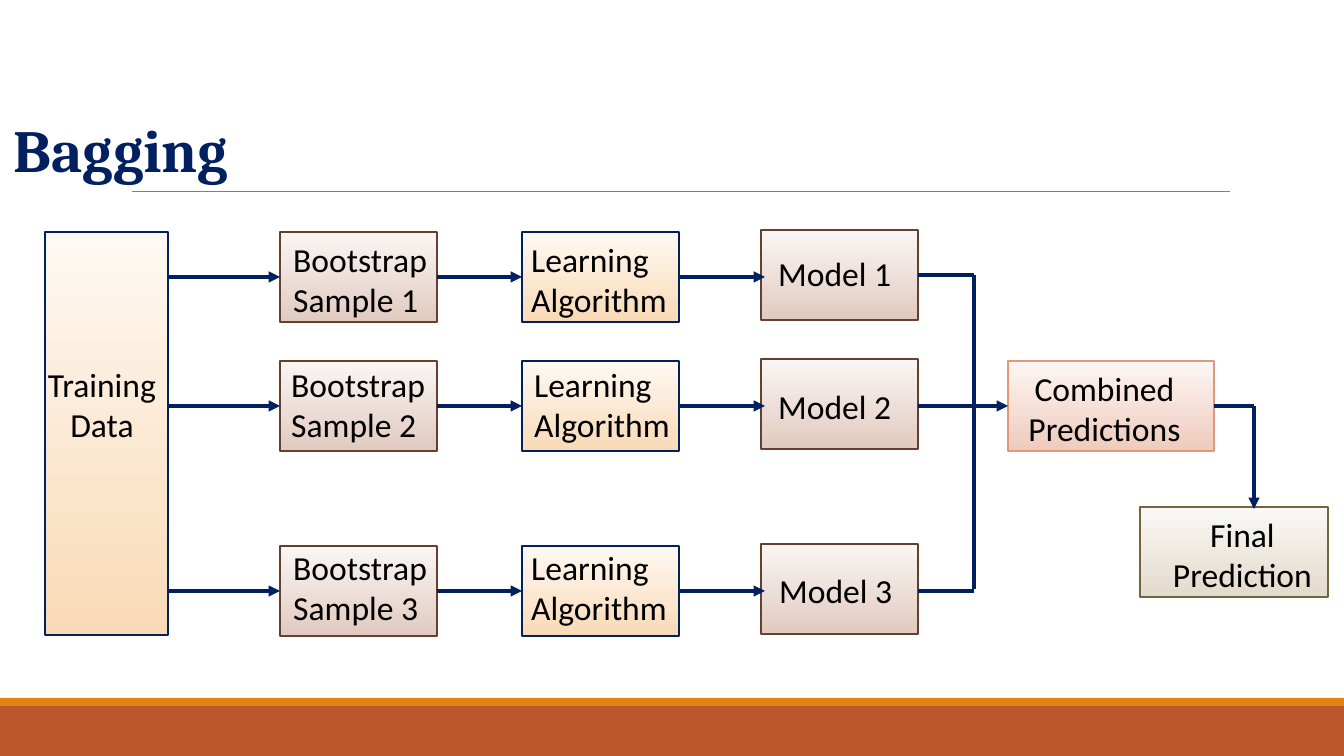
from dataclasses import dataclass

from lxml.etree import SubElement
from pptx import Presentation
from pptx.dml.color import RGBColor
from pptx.enum.shapes import MSO_CONNECTOR as Connector, MSO_SHAPE as Shape
from pptx.enum.text import MSO_ANCHOR as Anchor, MSO_AUTO_SIZE as AutoSize, PP_ALIGN as Align
from pptx.oxml.ns import qn
from pptx.util import Pt

EMU_PER_PX = 914400 / 134.4
WIDTH, HEIGHT = 1344, 756
BOX_WIDTH, BOX_HEIGHT = 157, 90
LABEL_HEIGHT = 94
TOP, LEFT, RIGHT = 0, 1, 3  # connection sites


@dataclass(frozen=True)
class Theme:
    navy: str = "002060"
    black: str = "000000"
    rule: str = "7F7F7F"
    orange: str = "E48312"
    rust: str = "BD582C"
    # Box styles: gradient start, gradient end, outline
    cream: tuple = ("FEF9F3", "F9DAB6", "002060")
    brown: tuple = ("FAF6F4", "E1CAC0", "644030")
    coral: tuple = ("FCF6F4", "EFCBBC", "E09878")
    olive: tuple = ("FAF9F6", "E2DACC", "746241")
    title_font: str = "Cambria"
    body_font: str = "Calibri"
    title_size: float = 32
    body_size: float = 18
    outline: float = 1.25
    arrow: float = 2
    hairline: float = 0.5


THEME = Theme()


def px(*lengths):
    return [round(length * EMU_PER_PX) for length in lengths]


def rgb(value):
    return RGBColor.from_string(value)


def add_run(paragraph, text, font_name, size, color, bold=False):
    run = paragraph.add_run()
    run.text = text
    run.font.name, run.font.size, run.font.bold = font_name, Pt(size), bold
    run.font.color.rgb = rgb(color)


def add_box(slide, box, style):
    shape = slide.shapes.add_shape(Shape.RECTANGLE, *px(*box))
    shape.shadow.inherit = False
    start, end, outline = style
    shape.fill.gradient()
    shape.fill.gradient_angle = 270
    for stop, color, position in zip(shape.fill.gradient_stops, (start, end), (0, 1)):
        stop.color.rgb, stop.position = rgb(color), position
    shape.line.color.rgb = rgb(outline)
    shape.line.width = Pt(THEME.outline)
    return shape


def add_label(slide, box, text, align=Align.LEFT):
    frame = slide.shapes.add_textbox(*px(*box)).text_frame
    frame.word_wrap = True
    frame.auto_size = AutoSize.SHAPE_TO_FIT_TEXT
    paragraph = frame.paragraphs[0]
    paragraph.alignment = align
    add_run(paragraph, text, THEME.body_font, THEME.body_size, THEME.black)


def add_node(slide, box, style, text, label, align=Align.LEFT):
    """Box with a label given as x, y, width, height from the box corner."""
    shape = add_box(slide, box, style)
    dx, dy, width, height = label
    add_label(slide, (box[0] + dx, box[1] + dy, width, height), text, align)
    return shape


def add_line(slide, start, end, color=THEME.navy, width=THEME.arrow,
             head=False, source=None, target=None):
    line = slide.shapes.add_connector(Connector.STRAIGHT, *px(*start, *end))
    if source is not None:
        line.begin_connect(source, RIGHT)
    if target is not None:
        line.end_connect(target, LEFT)
    line.line.color.rgb = rgb(color)
    line.line.width = Pt(width)
    if head:
        SubElement(line.line._get_or_add_ln(), qn("a:tailEnd"), type="triangle")
    SubElement(line._element.spPr, qn("a:effectLst"))


def add_frame(slide, box):
    """Footer bands and the rule under the title."""
    left, top, width, height = box
    for y, band, color in ((706, 50, THEME.rust), (698, 8, THEME.orange)):
        shape = slide.shapes.add_shape(Shape.RECTANGLE, *px(left, top + y, width, band))
        shape.shadow.inherit = False
        shape.fill.solid()
        shape.fill.fore_color.rgb = rgb(color)
        shape.line.fill.background()
    add_line(slide, (left + 132, top + 192), (left + 1230, top + 192),
             THEME.rule, THEME.hairline)


def add_title(slide, box, text):
    title = slide.shapes.title
    title.left, title.top, title.width, title.height = px(*box)
    frame = title.text_frame
    frame.vertical_anchor = Anchor.MIDDLE
    paragraph = frame.paragraphs[0]
    paragraph.alignment, paragraph.line_spacing = Align.LEFT, 0.85
    add_run(paragraph, text, THEME.title_font, THEME.title_size, THEME.navy, bold=True)


def add_branch(slide, box, number, labels):
    """One row: bootstrap sample, learning algorithm, model. Returns the model."""
    left, top = box
    middle = top + BOX_HEIGHT // 2
    sample_label, algorithm_label, model_label = labels
    size = (BOX_WIDTH, BOX_HEIGHT)

    sample = add_node(slide, (left + 112, top, *size), THEME.brown,
                      f"Bootstrap Sample {number}", (*sample_label, LABEL_HEIGHT))
    algorithm = add_node(slide, (left + 354, top, *size), THEME.cream,
                         "Learning Algorithm", (*algorithm_label, LABEL_HEIGHT))
    model = add_node(slide, (left + 593, top - 2, *size), THEME.brown,
                     f"Model {number}", (*model_label, 153, 54))

    add_line(slide, (left, middle), (left + 112, middle), head=True, target=sample)
    add_line(slide, (left + 269, middle), (left + 354, middle), head=True,
             source=sample, target=algorithm)
    add_line(slide, (left + 511, middle), (left + 597, middle), head=True,
             source=algorithm)
    return model


def add_outcome(slide, box, models):
    """Models merge on a bus, then combined and final predictions."""
    left, top = box
    bus, first, second, third = left + 56, top + 43, top + 174, top + 359

    combined = add_node(slide, (left + 90, top + 129, 206, BOX_HEIGHT), THEME.coral,
                        "Combined Predictions", (4, 0, 185, LABEL_HEIGHT), Align.CENTER)
    add_node(slide, (left + 222, top + 275, 188, BOX_HEIGHT), THEME.olive,
             "Final Prediction", (14, 0, 177, LABEL_HEIGHT), Align.CENTER)

    # Bus from the three models
    add_line(slide, (left, second), (left + 90, second), head=True, target=combined)
    add_line(slide, (left, first), (bus, first), source=models[0])
    add_line(slide, (left, third), (bus, third))
    add_line(slide, (bus, first), (bus, third - 2))

    # Elbow down to the final prediction
    elbow = left + 336
    add_line(slide, (left + 296, second), (elbow, second), source=combined)
    add_line(slide, (elbow, second), (elbow, top + 277), head=True)


def add_bagging_diagram(slide, box):
    left, top = box
    add_node(slide, (left, top, 123, 403), THEME.cream, "Training Data",
             (-14, 125, 142, LABEL_HEIGHT), Align.CENTER)

    # Row offset, then label placing for sample, algorithm and model
    rows = (
        (0, ((0, 0, 173), (-4, 0, 177), (4, 16))),
        (129, ((-2, -4, 163), (-1, -4, 175), (4, 20))),
        (314, ((0, -6, 168), (-4, -6, 177), (5, 19))),
    )
    models = [add_branch(slide, (left + 123, top + offset), number, labels)
              for number, (offset, labels) in enumerate(rows, 1)]
    add_outcome(slide, (left + 873, top), models)


def main():
    presentation = Presentation()
    presentation.slide_width, presentation.slide_height = px(WIDTH, HEIGHT)
    slide = presentation.slides.add_slide(presentation.slide_layouts[5])
    add_frame(slide, (0, 0, WIDTH, HEIGHT))
    add_title(slide, (0, 110, WIDTH, 89), "Bagging")
    add_bagging_diagram(slide, (45, 232))
    presentation.save("out.pptx")


if __name__ == "__main__":
    main()
